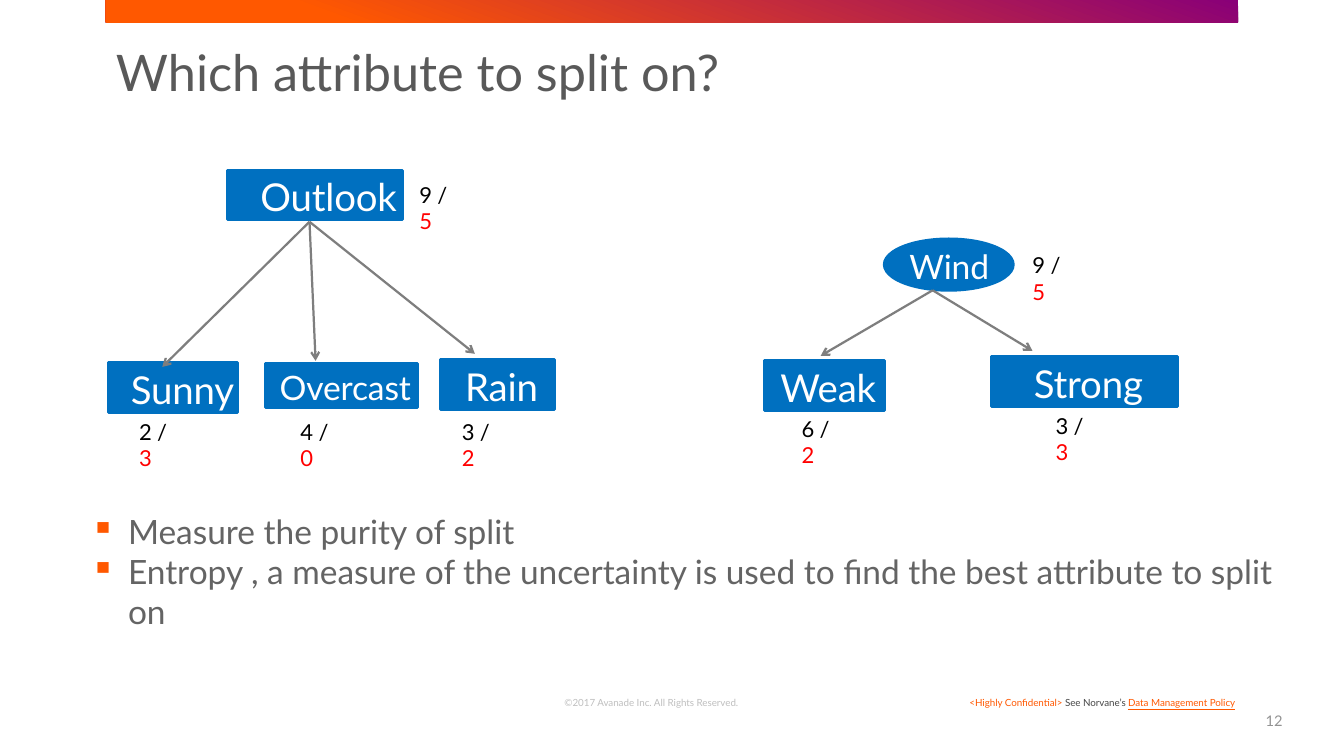
from lxml import etree
from pptx import Presentation
from pptx.dml.color import RGBColor
from pptx.enum.shapes import MSO_CONNECTOR, MSO_SHAPE
from pptx.enum.text import MSO_ANCHOR as ANCHOR, MSO_AUTO_SIZE, PP_ALIGN as ALIGN
from pptx.oxml.ns import qn
from pptx.util import Inches, Pt

FONT = "Lato"
BLUE = RGBColor(0x00, 0x70, 0xC0)
ORANGE = RGBColor(0xFF, 0x58, 0x00)
PURPLE = RGBColor(0x89, 0x00, 0x78)
RED = RGBColor(0xFF, 0x00, 0x00)
BLACK = RGBColor(0x00, 0x00, 0x00)
WHITE = RGBColor(0xFF, 0xFF, 0xFF)
ARROW_GRAY = RGBColor(0x7E, 0x7E, 0x7E)
TITLE_GRAY = RGBColor(0x59, 0x59, 0x59)
BODY_GRAY = RGBColor(0x64, 0x64, 0x64)
DARK_GRAY = RGBColor(0x46, 0x46, 0x46)
PAGE_GRAY = RGBColor(0x93, 0x93, 0x93)
LIGHT_GRAY = RGBColor(0xBF, 0xBF, 0xBF)


def add_run(p, text, size=12, color=BLACK, underline=None, spacing=None):
    r = p.add_run()
    r.text = text
    r.font.name = FONT
    r.font.size = Pt(size)
    r.font.color.rgb = color
    r.font.underline = underline
    if spacing is not None:
        r._r.get_or_add_rPr().set("spc", str(round(spacing * 100)))
    return r


class SlideBuilder:
    def __init__(self, prs):
        self.s = prs.slides.add_slide(prs.slide_layouts[5])

    def frame(self, sp, anchor=ANCHOR.TOP, inset=True):
        tf = sp.text_frame
        tf.word_wrap = True
        tf.auto_size = MSO_AUTO_SIZE.NONE
        tf.vertical_anchor = anchor
        if not inset:
            tf.margin_left = tf.margin_right = tf.margin_top = tf.margin_bottom = 0
        return tf

    def title(self, text, x, y, w, h):
        sp = self.s.shapes.title
        sp.left, sp.top, sp.width, sp.height = map(Inches, (x, y, w, h))
        p = self.frame(sp).paragraphs[0]
        p.alignment = ALIGN.LEFT
        p.line_spacing = 0.9
        add_run(p, text, size=36, color=TITLE_GRAY)

    def shape(self, kind, x, y, w, h):
        sp = self.s.shapes.add_shape(kind, *map(Inches, (x, y, w, h)))
        sp.shadow.inherit = False
        return sp

    def gradient_bar(self, x, y, w, h):
        sp = self.shape(MSO_SHAPE.RECTANGLE, x, y, w, h)
        sp.line.fill.background()
        sp.fill.gradient()
        sp.fill.gradient_angle = 250
        for stop, color, position in zip(sp.fill.gradient_stops, (PURPLE, ORANGE), (0, 0.8)):
            stop.color.rgb = color
            stop.position = position

    def node(self, text, x, y, w, h, size=27.4, indent=0.08, kind=MSO_SHAPE.RECTANGLE):
        sp = self.shape(kind, x, y, w, h)
        sp.fill.solid()
        sp.fill.fore_color.rgb = BLUE
        sp.line.color.rgb = BLUE
        sp.line.width = Pt(2)
        tf = self.frame(sp, ANCHOR.MIDDLE, inset=False)
        tf.margin_top = Inches(0.03)
        p = tf.paragraphs[0]
        p.alignment = ALIGN.CENTER
        p._p.get_or_add_pPr().set("marL", str(Inches(indent)))
        add_run(p, text, size=size, color=WHITE, spacing=-0.1)

    def text(self, runs, x, y, w, h, align=ALIGN.LEFT, anchor=ANCHOR.TOP, inset=True):
        sp = self.s.shapes.add_textbox(*map(Inches, (x, y, w, h)))
        p = self.frame(sp, anchor, inset).paragraphs[0]
        p.alignment = align
        for text, fmt in runs:
            add_run(p, text, **fmt)

    def counts(self, yes, no, x, y):
        fmt = dict(size=15.7, spacing=-0.1)
        self.text([(f"{yes} / ", fmt), (str(no), dict(fmt, color=RED))],
                  x, y, 0.45, 0.26, inset=False)

    def arrow(self, start, end):
        c = self.s.shapes.add_connector(MSO_CONNECTOR.STRAIGHT, *map(Inches, start + end))
        c.line.color.rgb = ARROW_GRAY
        c.line.width = Pt(1.6)
        ln = c.line._get_or_add_ln()
        etree.SubElement(ln, qn("a:tailEnd"), type="arrow", w="med", len="med")
        etree.SubElement(c._element.spPr, qn("a:effectLst"))

    def bullets(self, items, x, y, w, h):
        sp = self.s.shapes.add_textbox(*map(Inches, (x, y, w, h)))
        tf = self.frame(sp, inset=False)
        for i, item in enumerate(items):
            p = tf.add_paragraph() if i else tf.paragraphs[0]
            pPr = p._p.get_or_add_pPr()
            pPr.set("marL", str(Inches(0.38)))
            pPr.set("indent", str(Inches(-0.37)))
            color = etree.SubElement(pPr, qn("a:buClr"))
            etree.SubElement(color, qn("a:srgbClr"), val=str(ORANGE))
            etree.SubElement(pPr, qn("a:buChar"), char="▪")
            add_run(p, item, size=23.9, color=BODY_GRAY)


def main():
    prs = Presentation()
    prs.slide_width, prs.slide_height = Inches(13.33), Inches(7.5)
    b = SlideBuilder(prs)

    # Header
    b.gradient_bar(1.05, 0, 11.23, 0.22)
    b.title("Which attribute to split on?", 1.05, 0.43, 11.23, 1.09)

    # Tree nodes
    b.node("Outlook", 2.26, 1.69, 1.73, 0.49, indent=0.27)
    b.node("Sunny", 1.08, 3.6, 1.28, 0.49, indent=0.18)
    b.node("Overcast", 2.63, 3.61, 1.51, 0.43, size=24)
    b.node("Rain", 4.37, 3.57, 1.13, 0.49)
    b.node("Wind", 8.77, 2.37, 1.28, 0.51, size=24, indent=0.01, kind=MSO_SHAPE.OVAL)
    b.node("Weak", 7.58, 3.58, 1.19, 0.49)
    b.node("Strong", 9.83, 3.54, 1.85, 0.49)

    # Branches
    branches = {
        (3.07, 2.2): [(1.61, 3.64), (3.13, 3.58), (4.71, 3.51)],
        (9.25, 2.88): [(8.14, 3.53), (10.24, 3.48)],
    }
    for start, ends in branches.items():
        for end in ends:
            b.arrow(start, end)

    # Yes / no counts
    for yes, no, x, y in [
        (9, 5, 4.16, 1.8), (2, 3, 1.38, 4.15), (4, 0, 2.98, 4.15), (3, 2, 4.58, 4.15),
        (9, 5, 10.24, 2.5), (6, 2, 7.95, 4.12), (3, 3, 10.47, 4.09),
    ]:
        b.counts(yes, no, x, y)

    # Takeaways
    b.bullets([
        "Measure the purity of split",
        "Entropy , a measure of the uncertainty is used to find the best attribute to split on",
    ], 0.89, 5.07, 11.99, 1.21)

    # Footer
    b.text([("©2017 Avanade Inc. All Rights Reserved.", dict(size=7, color=LIGHT_GRAY))],
           5.1, 6.85, 2.72, 0.18, ALIGN.CENTER, ANCHOR.BOTTOM, inset=False)
    b.text([
        ("<Highly Confidential> ", dict(size=7, color=ORANGE)),
        ("See Norvane’s ", dict(size=7, color=DARK_GRAY)),
        ("Data Management Policy", dict(size=7, color=ORANGE, underline=True)),
    ], 9.31, 6.86, 3.04, 0.22, ALIGN.RIGHT)
    b.text([("12", dict(size=10.5, color=PAGE_GRAY))],
           12.28, 6.95, 0.54, 0.4, ALIGN.RIGHT, ANCHOR.MIDDLE)

    prs.save("out.pptx")


if __name__ == "__main__":
    main()
